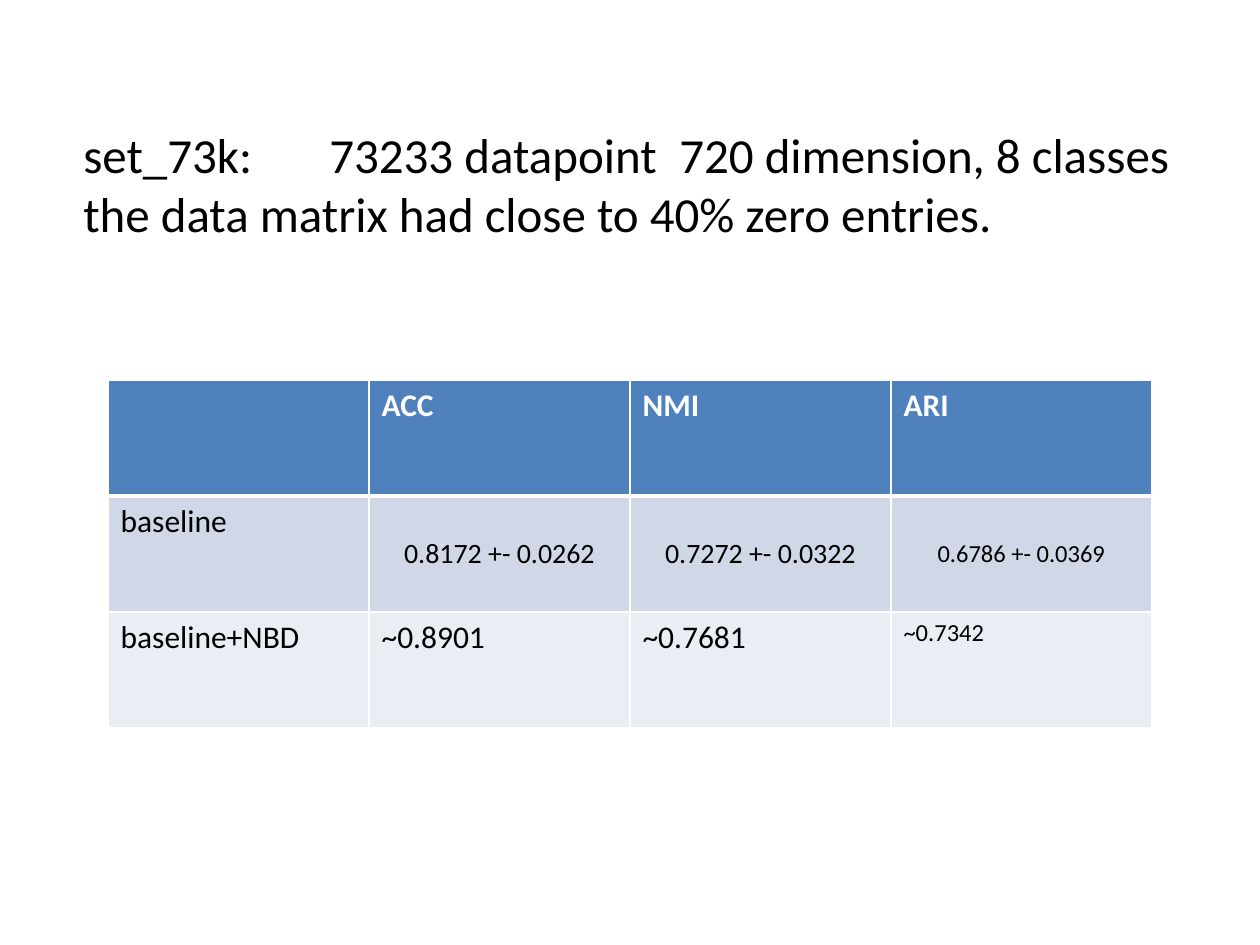
from lxml import etree
from pptx import Presentation
from pptx.dml.color import RGBColor
from pptx.enum.text import MSO_ANCHOR, PP_ALIGN
from pptx.oxml.ns import qn
from pptx.util import Pt

CENTER = PP_ALIGN.CENTER
MIDDLE = MSO_ANCHOR.MIDDLE
PX = 914400 / 126


def px(n):
    return round(n * PX)


def rgb(value):
    return RGBColor.from_string(value)


class Deck:
    font = "Calibri"
    black = "000000"
    white = "FFFFFF"
    header = "4F81BD"
    bands = ("D0D8E8", "E9EDF4")

    def __init__(self, prs):
        self.s = prs.slides.add_slide(prs.slide_layouts[6])

    def style(self, p, size, color, bold=False):
        p.font.name = self.font
        p.font.size = Pt(size)
        p.font.bold = bold
        p.font.color.rgb = rgb(color)

    def text(self, x, y, w, h, lines, size, tabs):
        tf = self.s.shapes.add_textbox(px(x), px(y), px(w), px(h)).text_frame
        tf.word_wrap = True
        tf.text = "\n".join(lines)
        for p in tf.paragraphs:
            self.style(p, size, self.black)
        pPr = tf.paragraphs[0]._p.get_or_add_pPr()
        tab_list = etree.Element(qn("a:tabLst"))
        for pos in tabs:
            etree.SubElement(tab_list, qn("a:tab"), pos=str(px(pos)), algn="l")
        pPr.insert(0, tab_list)

    def borders(self, cell, top, bottom):
        tcPr = cell._tc.get_or_add_tcPr()
        for side, width in zip("LRTB", (1, 1, top, bottom)):
            ln = etree.SubElement(tcPr, qn(f"a:ln{side}"), w=str(Pt(width)))
            fill = etree.SubElement(ln, qn("a:solidFill"))
            etree.SubElement(fill, qn("a:srgbClr"), val=self.white)

    def table(self, x, y, col_w, row_h, rows, sizes, centered):
        n, m = len(rows), len(rows[0])
        table = self.s.shapes.add_table(
            n, m, px(x), px(y), px(col_w * m), px(row_h * n)).table
        for col in table.columns:
            col.width = px(col_w)
        for i, row in enumerate(rows):
            table.rows[i].height = px(row_h)
            for j, value in enumerate(row):
                cell = table.cell(i, j)
                self.borders(cell, 3 if i == 1 else 1, 3 if i == 0 else 1)
                cell.fill.solid()
                cell.fill.fore_color.rgb = rgb(
                    self.bands[(i - 1) % 2] if i else self.header)
                cell.text = value
                p = cell.text_frame.paragraphs[0]
                self.style(p, sizes[i][j], self.black if i else self.white, i == 0)
                if (i, j) in centered:
                    p.alignment = CENTER
                    cell.vertical_anchor = MIDDLE
                    cell.margin_left = cell.margin_right = px(18)
                    cell.margin_top = cell.margin_bottom = px(8)


def main():
    prs = Presentation()
    prs.slide_width, prs.slide_height = px(1260), px(945)
    deck = Deck(prs)
    deck.table(
        108, 380, 261, 116,
        [["", "ACC", "NMI", "ARI"],
         ["baseline", "0.8172 +- 0.0262", "0.7272 +- 0.0322", "0.6786 +- 0.0369"],
         ["baseline+NBD", "~0.8901", "~0.7681", "~0.7342"]],
        [[18, 18, 18, 18], [18, 16, 16, 14], [18, 18, 18, 14]],
        {(1, 1), (1, 2), (1, 3)})
    deck.text(
        71, 118, 1137, 131,
        ["set_73k:\t73233 datapoint\t720 dimension, 8 classes",
         "the data matrix had close to 40% zero entries."],
        28, (246, 596))
    prs.save("out.pptx")


if __name__ == "__main__":
    main()
